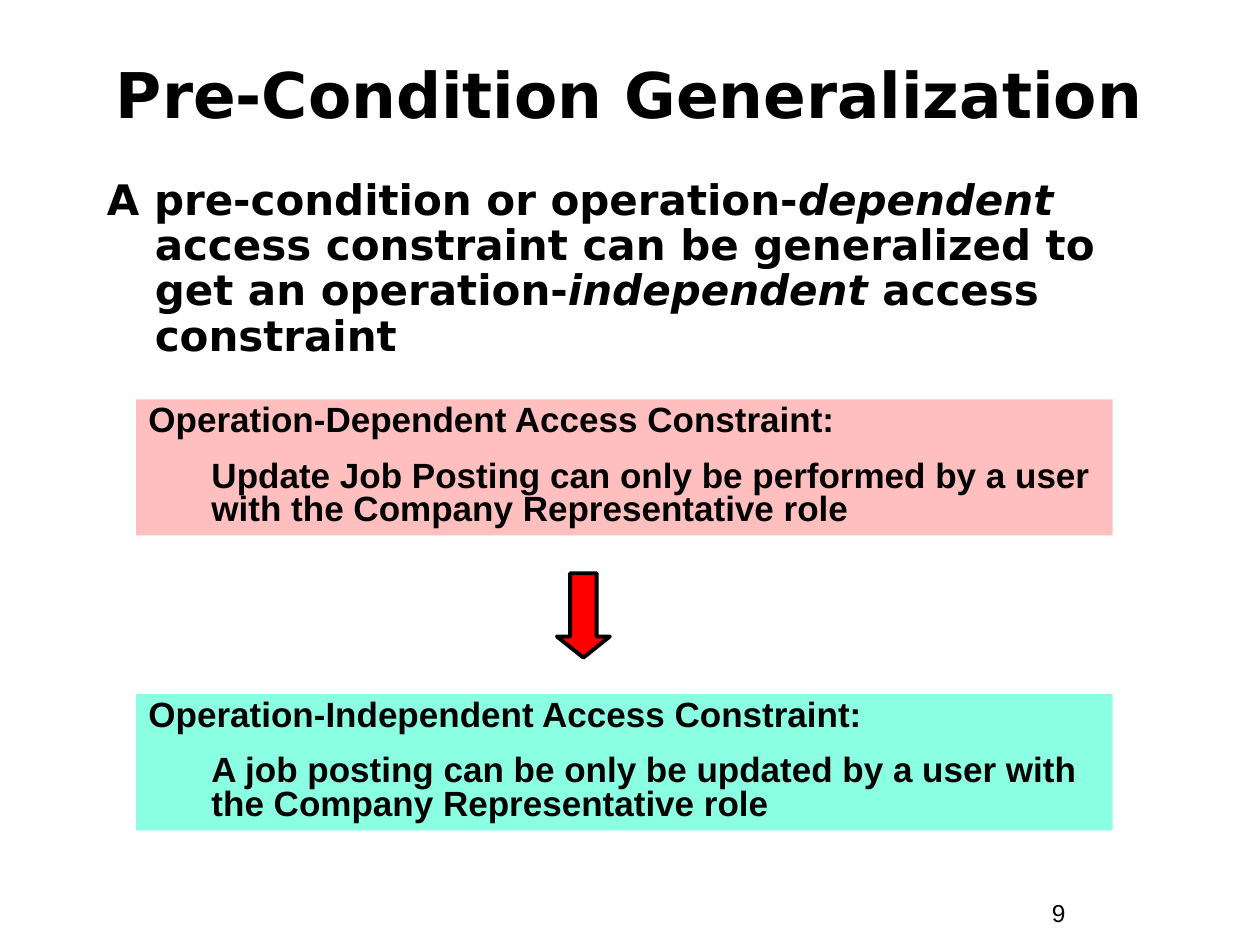
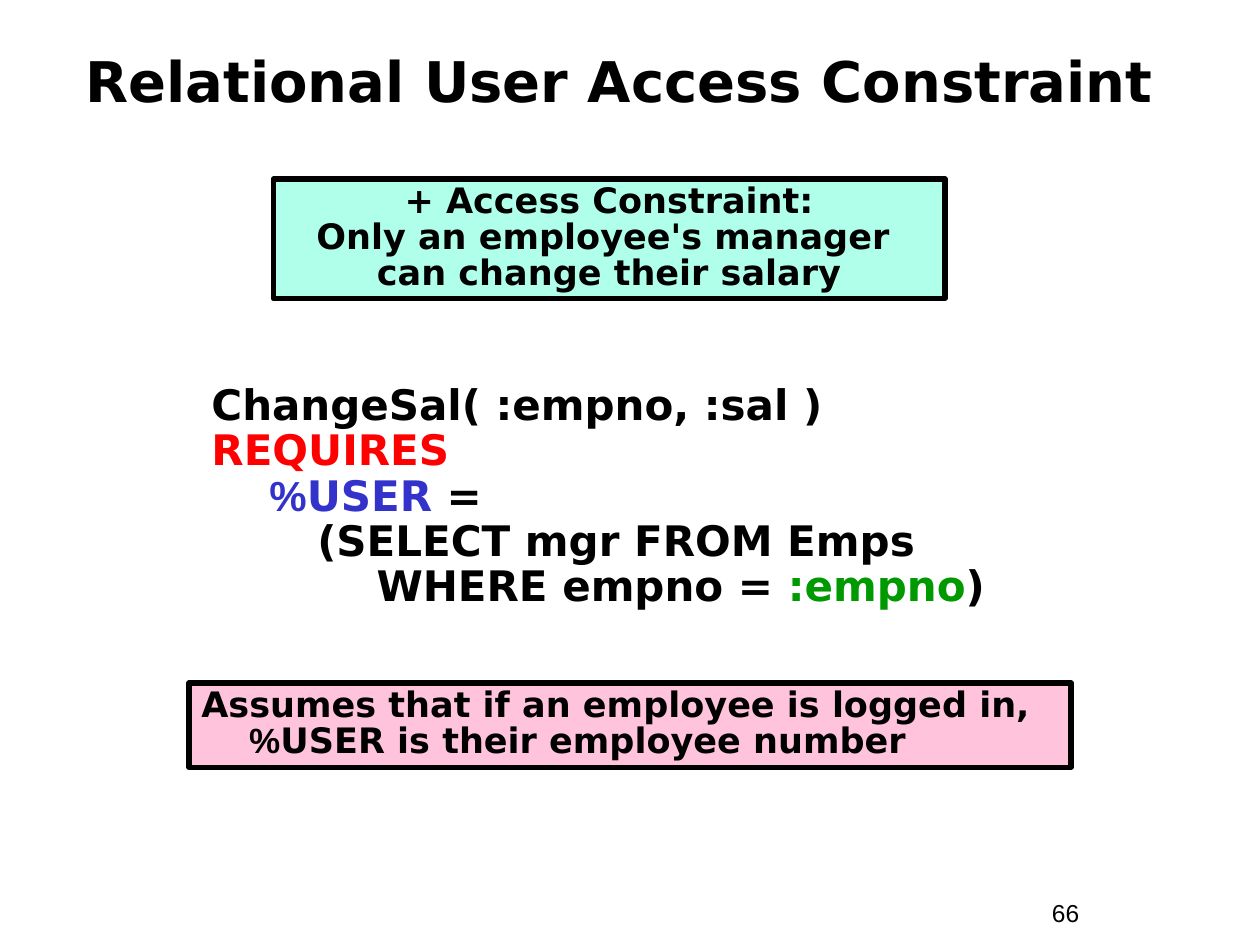
import pptx
import pptx.dml.color
import pptx.enum.shapes
import pptx.enum.text
import pptx.util

Inches = pptx.util.Inches
Pt = pptx.util.Pt
RGBColor = pptx.dml.color.RGBColor
SHAPE = pptx.enum.shapes.MSO_SHAPE
ALIGN = pptx.enum.text.PP_ALIGN
ANCHOR = pptx.enum.text.MSO_ANCHOR
FIT = pptx.enum.text.MSO_AUTO_SIZE

BLACK = RGBColor(0x00, 0x00, 0x00)
RED = RGBColor(0xFF, 0x00, 0x00)
BLUE = RGBColor(0x33, 0x33, 0xCC)
GREEN = RGBColor(0x00, 0x99, 0x00)
SALMON = RGBColor(0xFF, 0xBF, 0xBF)
AQUA = RGBColor(0x8B, 0xFF, 0xE1)
PINK = RGBColor(0xFF, 0xC3, 0xDB)
MINT = RGBColor(0xAF, 0xFF, 0xEA)

SANS = "DejaVu Sans"
ARIAL = "Arial"
HANGING = 0.38


class Deck:
    """Holds the shared style and the slide being built."""

    def __init__(self):
        self.prs = pptx.Presentation()
        self.prs.slide_width = Inches(10)
        self.prs.slide_height = Inches(7.5)

    def slide(self, title, number, top, size):
        self.s = self.prs.slides.add_slide(self.prs.slide_layouts[6])
        tf = self.text(8.25, 7.08, 0.92, 0.34, FIT.SHAPE_TO_FIT_TEXT)
        self.para(tf, [(number, {})], size=14, font=ARIAL, bold=False, space_before=Pt(8.8))
        tf = self.text(0.33, top, 9.33, 0.92)
        tf.vertical_anchor = ANCHOR.MIDDLE
        self.para(tf, [(title, {})], size=size, alignment=ALIGN.CENTER, line_spacing=0.85)

    def text(self, x, y, w, h, fit=FIT.NONE):
        sp = self.s.shapes.add_textbox(Inches(x), Inches(y), Inches(w), Inches(h))
        return self.frame(sp, fit)

    def frame(self, sp, fit):
        tf = sp.text_frame
        values = {"word_wrap": True, "auto_size": fit, "vertical_anchor": ANCHOR.TOP}
        for name, value in values.items():
            setattr(tf, name, value)
        return tf

    def shape(self, kind, x, y, w, h, fill, line=None):
        sp = self.s.shapes.add_shape(kind, Inches(x), Inches(y), Inches(w), Inches(h))
        sp.shadow.inherit = False
        sp.fill.solid()
        sp.fill.fore_color.rgb = fill
        if line:
            sp.line.color.rgb = BLACK
            sp.line.width = Pt(line)
        else:
            sp.line.fill.background()
        return sp

    def box(self, x, y, w, h, fill, line=None):
        return self.frame(self.shape(SHAPE.RECTANGLE, x, y, w, h, fill, line), FIT.SHAPE_TO_FIT_TEXT)

    def para(self, tf, runs, size=20, font=SANS, bold=True, left=0, indent=0, **formats):
        p = tf.paragraphs[0]
        if p.runs:
            p = tf.add_paragraph()
        for name, value in {"alignment": ALIGN.LEFT, **formats}.items():
            setattr(p, name, value)
        pPr = p._p.get_or_add_pPr()
        pPr.set("marL", str(Inches(left)))
        pPr.set("indent", str(Inches(indent)))
        base = {"size": Pt(size), "name": font, "bold": bold, "color": BLACK}
        for text, changes in runs:
            for i, part in enumerate(text.split("\n")):
                if i:
                    p.add_line_break()
                if part:
                    self.run(p, part, {**base, **changes})

    def run(self, p, text, formats):
        r = p.add_run()
        r.text = text
        for name, value in formats.items():
            if name == "color":
                r.font.color.rgb = value
            else:
                setattr(r.font, name, value)

    def constraint(self, y, fill, heading, rule):
        tf = self.box(1.08, y, 7.75, 1.08, fill)
        for text, left in ((heading, 0), (rule, 0.5)):
            self.para(tf, [(text, {})], font=ARIAL, left=left,
                      line_spacing=0.8, space_before=Pt(12.5))


def generalization(deck):
    deck.slide("Pre-Condition Generalization", "9", top=0.33, size=36)
    tf = deck.text(0.75, 1.37, 8.42, 1.58)
    italic = {"italic": True}
    deck.para(tf, [
        ("A pre-condition or operation-", {}),
        ("dependent", italic),
        (" access constraint can be generalized to get an operation-", {}),
        ("independent", italic),
        (" access constraint", {}),
    ], size=24, left=HANGING, indent=-HANGING, line_spacing=0.9, space_before=Pt(12))
    deck.constraint(3.17, SALMON, "Operation-Dependent Access Constraint:",
                    "Update Job Posting can only be performed by a user "
                    "with the Company Representative role")
    deck.constraint(5.51, AQUA, "Operation-Independent Access Constraint:",
                    "A job posting can be only be updated by a user "
                    "with the Company Representative role")
    arrow = deck.shape(SHAPE.DOWN_ARROW, 4.42, 4.55, 0.42, 0.67, RED, line=2.25)
    arrow.adjustments[0] = 0.5
    arrow.adjustments[1] = 0.4


def relational(deck):
    deck.slide("Relational User Access Constraint ", "66", top=0.22, size=32)
    code = [
        (0, [("ChangeSal( :empno, :sal )", {})]),
        (0, [("REQUIRES", {"color": RED})]),
        (0.46, [("%", {"name": ARIAL, "color": BLUE}), ("USER", {"color": BLUE}), (" =", {})]),
        (0.84, [("(SELECT mgr FROM Emps", {})]),
        (1.31, [("WHERE empno = ", {}), (":empno", {"color": GREEN}), (")", {})]),
    ]
    tf = deck.text(1.58, 3, 7.58, 2.17)
    for left, runs in code:
        deck.para(tf, runs, size=24, left=left, line_spacing=0.9)
    note = {"line_spacing": 0.85, "space_before": Pt(12.5)}
    tf = deck.box(1.5, 5.42, 7, 0.67, PINK, line=3)
    deck.para(tf, [
        ("Assumes that if an employee is logged in,\n", {}),
        ("%", {"name": ARIAL}),
        ("USER is their employee number", {}),
    ], left=HANGING, indent=-HANGING, **note)
    tf = deck.box(2.17, 1.42, 5.33, 0.95, MINT, line=3)
    deck.para(tf, [("+ Access Constraint:\nOnly an employee's manager \ncan change their salary", {})],
              alignment=ALIGN.CENTER, **note)


def main():
    deck = Deck()
    generalization(deck)
    relational(deck)
    deck.prs.save("out.pptx")


if __name__ == "__main__":
    main()
